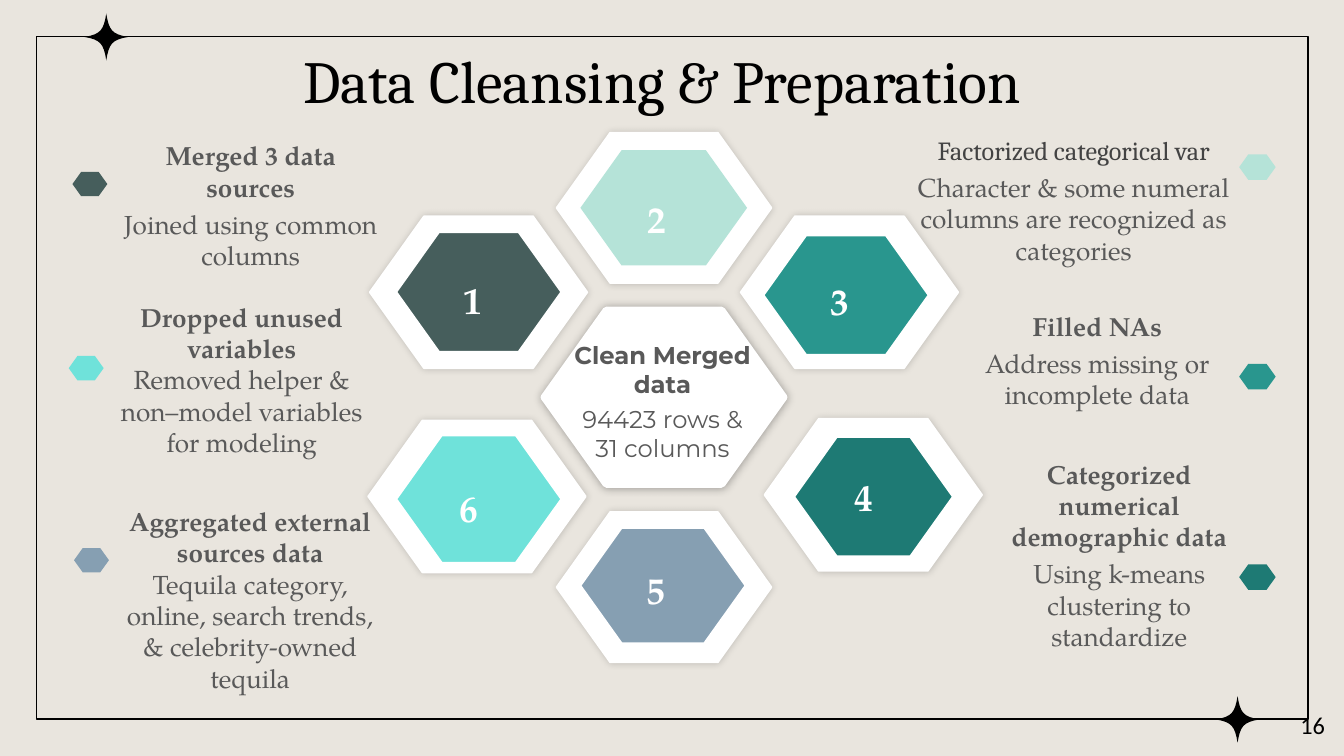
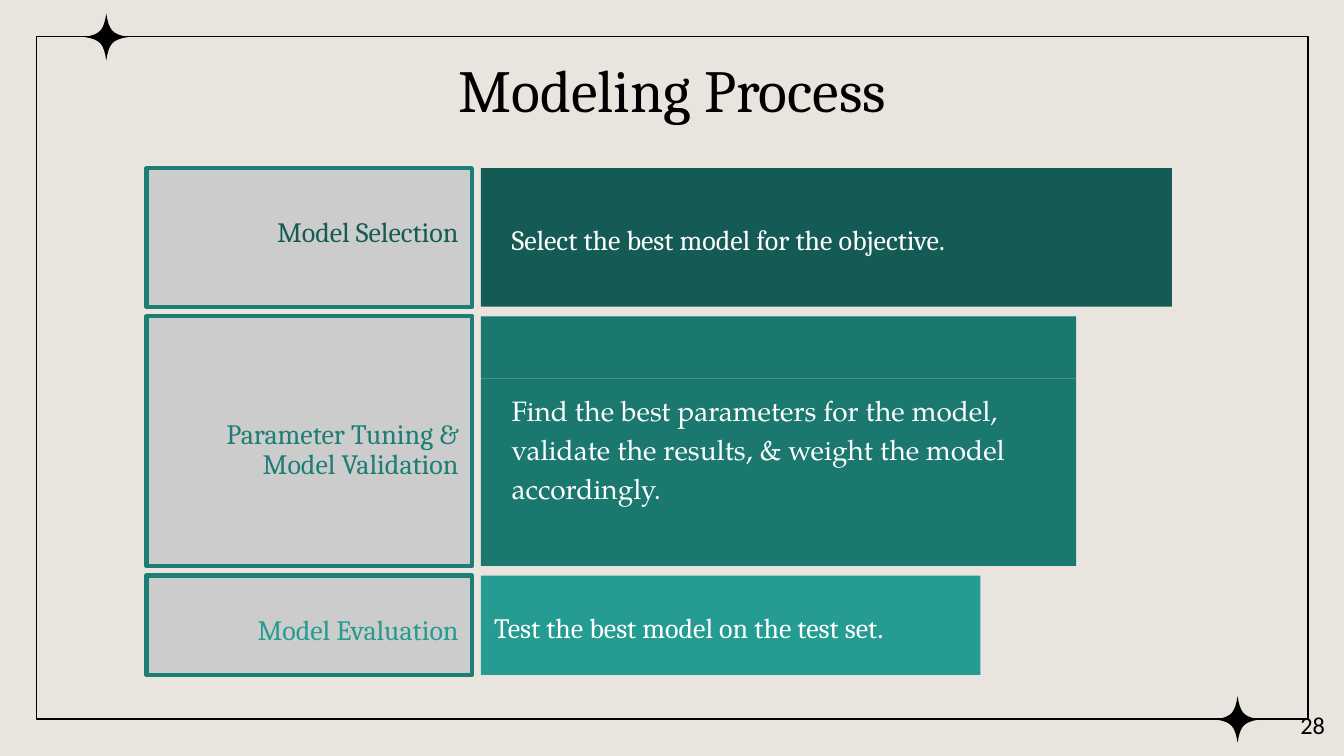
"""Build the data cleansing and modeling process slides."""
from dataclasses import dataclass

from lxml.etree import SubElement
from pptx import Presentation
from pptx.dml.color import RGBColor
from pptx.enum.shapes import MSO_SHAPE
from pptx.enum.text import MSO_ANCHOR, PP_ALIGN
from pptx.oxml.ns import qn
from pptx.util import Cm, Pt


@dataclass(frozen=True)
class Theme:
    background: str = "E9E5DE"
    black: str = "000000"
    white: str = "FFFFFF"
    body: str = "595959"
    heading: str = "434343"
    panel: str = "CCCCCC"
    slate: str = "465E5C"
    mint: str = "B5E3D8"
    teal: str = "29968E"
    deep: str = "1E7A74"
    steel: str = "869FB2"
    aqua: str = "6FE2DA"
    selection: str = "155B55"
    tuning: str = "1B786F"
    border: str = "1D7E75"
    evaluation: str = "249C91"
    serif: str = "Cambria"
    book: str = "TeX Gyre Pagella"
    sans: str = "Montserrat"
    plain: str = "Calibri"
    title_size: float = 32
    number_size: float = 20
    process_size: float = 15
    note_size: float = 14
    small_size: float = 13


T = Theme()
HEX_INSET = 0.357


def paint(sp, fill=None, line=None, width=0.75):
    sp.shadow.inherit = False
    if fill:
        sp.fill.solid()
        sp.fill.fore_color.rgb = RGBColor.from_string(fill)
    else:
        sp.fill.background()
    if line:
        sp.line.color.rgb = RGBColor.from_string(line)
        sp.line.width = Pt(width)
    else:
        sp.line.fill.background()


def add_box(s, kind, box, fill=None, line=None, width=0.75):
    sp = s.shapes.add_shape(kind, *map(Cm, box))
    paint(sp, fill, line, width)
    return sp


def add_hexagon(s, box, fill, line=None, width=1.03):
    sp = add_box(s, MSO_SHAPE.HEXAGON, box, fill, line, width)
    sp.adjustments[0] = HEX_INSET
    return sp


def add_glow(sp, blur, alpha):
    effects = sp._element.spPr.find(qn("a:effectLst"))
    shadow = SubElement(effects, qn("a:outerShdw"), blurRad=str(Pt(blur)),
                        dist="0", dir="0", algn="ctr", rotWithShape="0")
    color = SubElement(shadow, qn("a:srgbClr"), val=T.black)
    SubElement(color, qn("a:alpha"), val=str(alpha * 1000))


def add_star(s, cx, cy, half_w=0.41, half_h=0.44, steps=8):
    arc = []
    for i in range(steps):
        t = i / steps
        a, b, c, d = (1 - t) ** 3, 3 * t * (1 - t) ** 2, 3 * t * t * (1 - t), t ** 3
        arc.append((-a - 0.25 * b - 0.125 * c, 0.12 * b + 0.3 * c + d))
    bottom = arc + [(0, 1)] + [(-x, y) for x, y in arc[:0:-1]]
    outline = bottom + [(-x, -y) for x, y in bottom]
    points = [(Cm(cx + x * half_w), Cm(cy + y * half_h)) for x, y in outline]
    builder = s.shapes.build_freeform(*points[0], scale=1.0)
    builder.add_line_segments(points[1:], close=True)
    paint(builder.convert_to_shape(), T.black)


def set_frame(sp, anchor=MSO_ANCHOR.TOP, margin_y=0.13):
    tf = sp.text_frame
    tf.word_wrap = True
    tf.vertical_anchor = anchor
    tf.margin_left = tf.margin_right = Cm(0.25)
    tf.margin_top = tf.margin_bottom = Cm(margin_y)
    return tf


def style(p, font, size, color, align=PP_ALIGN.LEFT, bold=False, spacing=None):
    p.alignment = align
    if spacing:
        p.line_spacing = spacing
    for r in p.runs:
        r.font.name = font
        r.font.size = Pt(size)
        r.font.bold = bold
        r.font.color.rgb = RGBColor.from_string(color)


def write(sp, text, *look, anchor=MSO_ANCHOR.TOP, margin_y=0.13, **options):
    tf = set_frame(sp, anchor, margin_y)
    tf.text = text
    style(tf.paragraphs[0], *look, **options)


def add_text(s, box, text, *look, **options):
    sp = s.shapes.add_textbox(*map(Cm, box))
    write(sp, text, *look, **options)
    return sp


def add_note(s, box, head, detail, font=T.book, size=T.note_size, gap=3,
             head_font=None, head_color=T.body, bold=True):
    sp = add_text(s, box, head, head_font or font, size, head_color,
                  align=PP_ALIGN.CENTER, bold=bold)
    p = sp.text_frame.add_paragraph()
    p.text = detail
    if gap:
        p.space_before = Pt(gap)
    style(p, font, size, T.body, PP_ALIGN.CENTER)


def add_page(prs, title, title_box, number):
    s = prs.slides.add_slide(prs.slide_layouts[6])
    s.background.fill.solid()
    s.background.fill.fore_color.rgb = RGBColor.from_string(T.background)
    add_box(s, MSO_SHAPE.RECTANGLE, (0.69, 0.69, 24.03, 12.9), line=T.black)
    add_star(s, 2.01, 0.7)
    add_star(s, 23.39, 13.6)
    add_text(s, title_box, title, T.serif, T.title_size, T.black,
             align=PP_ALIGN.CENTER, margin_y=0.25)
    add_text(s, (23.77, 13.18, 1.52, 1.09), str(number), T.plain, T.small_size,
             T.black, align=PP_ALIGN.RIGHT, margin_y=0.25)
    return s


def build_cleansing(prs):
    s = add_page(prs, "Data Cleansing & Preparation", (0.53, 0.58, 23.98, 1.47), 16)
    cells = [
        ("2", T.mint, (10.52, 2.51, 4.06, 2.84), (10.97, 2.84, 3.15, 2.18), (11.99, 3.58)),
        ("5", T.steel, (10.52, 9.68, 4.06, 2.84), (10.97, 9.98, 3.12, 2.18), (11.96, 10.59)),
        ("1", T.slate, (6.99, 4.09, 4.11, 2.87), (7.49, 4.39, 3.12, 2.26), (8.51, 5.11)),
        ("3", T.teal, (14, 4.09, 4.11, 2.87), (14.43, 4.45, 3.12, 2.26), (15.44, 5.13)),
        ("6", T.aqua, (6.96, 7.95, 4.11, 2.87), (7.49, 8.23, 3.12, 2.41), (8.43, 9.04)),
        ("4", T.deep, (14.45, 7.92, 4.11, 2.87), (15.01, 8.26, 3, 2.26), (15.9, 8.84)),
    ]
    for number, color, outer, inner, spot in cells:
        add_glow(add_hexagon(s, outer, T.white, T.white), 4, 16)
        add_hexagon(s, inner, color, None if color == T.mint else T.white)
        add_text(s, (*spot, 1.15, 1.12), number, T.book, T.number_size, T.white, bold=True)
    center = add_hexagon(s, (10.29, 5.87, 4.52, 3.28), T.white, T.white, 4.12)
    add_glow(center, 5, 32)
    add_note(s, (10.54, 6.3, 3.96, 2.59), "Clean Merged data", "94423 rows & 31 columns",
             font=T.sans, size=T.small_size)

    left, right = (0.66, 0.46), (0.69, 0.48)
    markers = [
        (T.slate, (1.37, 3.25), left), (T.aqua, (1.3, 6.73), left),
        (T.steel, (1.4, 10.36), left), (T.mint, (23.42, 2.92), right),
        (T.teal, (23.42, 6.88), right), (T.deep, (23.42, 10.67), right),
    ]
    for color, spot, size in markers:
        add_hexagon(s, spot + size, color)

    add_note(s, (2.01, 2.51, 5.46, 2.77), "Merged 3 data sources",
             "Joined using common columns")
    add_note(s, (1.7, 5.56, 5.74, 4.55), "Dropped unused variables",
             "Removed helper & non–model variables for modeling", gap=0)
    add_note(s, (2.01, 9.42, 5.44, 4.6), "Aggregated external sources data",
             "Tequila category, online, search trends, & celebrity-owned tequila", gap=0)
    add_note(s, (16.97, 2.41, 6.65, 2.77), "Factorized categorical var",
             "Character & some numeral columns are recognized as categories",
             head_font=T.serif, head_color=T.heading, bold=False)
    add_note(s, (18.01, 5.74, 5.46, 2.16), "Filled NAs",
             "Address missing or incomplete data")
    add_note(s, (18.69, 8.53, 4.93, 3.96), "Categorized numerical demographic data",
             "Using k-means clustering to standardize")


def build_process(prs):
    s = add_page(prs, "Modeling Process", (0.76, 0.74, 23.9, 1.88), 28)
    rows = [
        ("Model Selection", T.selection, T.selection, (2.62,), (3.28, 2.26)),
        ("Parameter Tuning & Model Validation", T.border, T.tuning,
         (1.18, 1.65, 1.89), (6.35, 4.32)),
        ("Model Evaluation", T.evaluation, T.evaluation, (1.88,), (11.23, 1.42)),
    ]
    top, gap, bar_left, bar_width, bar_step = 3.18, 0.18, 9.09, 13.06, 1.81
    for i, (label, color, fill, bands, (label_top, label_height)) in enumerate(rows):
        add_box(s, MSO_SHAPE.RECTANGLE, (2.77, top, 6.15, sum(bands)),
                T.panel, T.border, 2.25)
        add_text(s, (3.23, label_top, 5.69, label_height), label, T.serif,
                 T.process_size, color, align=PP_ALIGN.RIGHT, spacing=0.9,
                 anchor=MSO_ANCHOR.MIDDLE)
        for height in bands:
            bar = add_box(s, MSO_SHAPE.RECTANGLE,
                          (bar_left, top, bar_width - i * bar_step, height), fill)
            top += height
        top += gap

    body = {"spacing": 1.15, "anchor": MSO_ANCHOR.MIDDLE}
    add_text(s, (9.42, 3.35, 11.94, 2.26), "Select the best model for the objective.",
             T.serif, T.process_size, T.white, **body)
    tuning = add_box(s, MSO_SHAPE.RECTANGLE, (9.42, 7.62, 10.8, 1.65), T.tuning)
    write(tuning, "Find the best parameters for the model, validate the results, "
          "& weight the model accordingly.", T.book, T.process_size, T.white, **body)
    write(bar, "Test the best model on the test set.",
          T.serif, T.process_size, T.white, **body)


def main():
    prs = Presentation()
    prs.slide_width, prs.slide_height = Cm(25.4), Cm(14.29)
    build_cleansing(prs)
    build_process(prs)
    prs.save("out.pptx")


if __name__ == "__main__":
    main()
